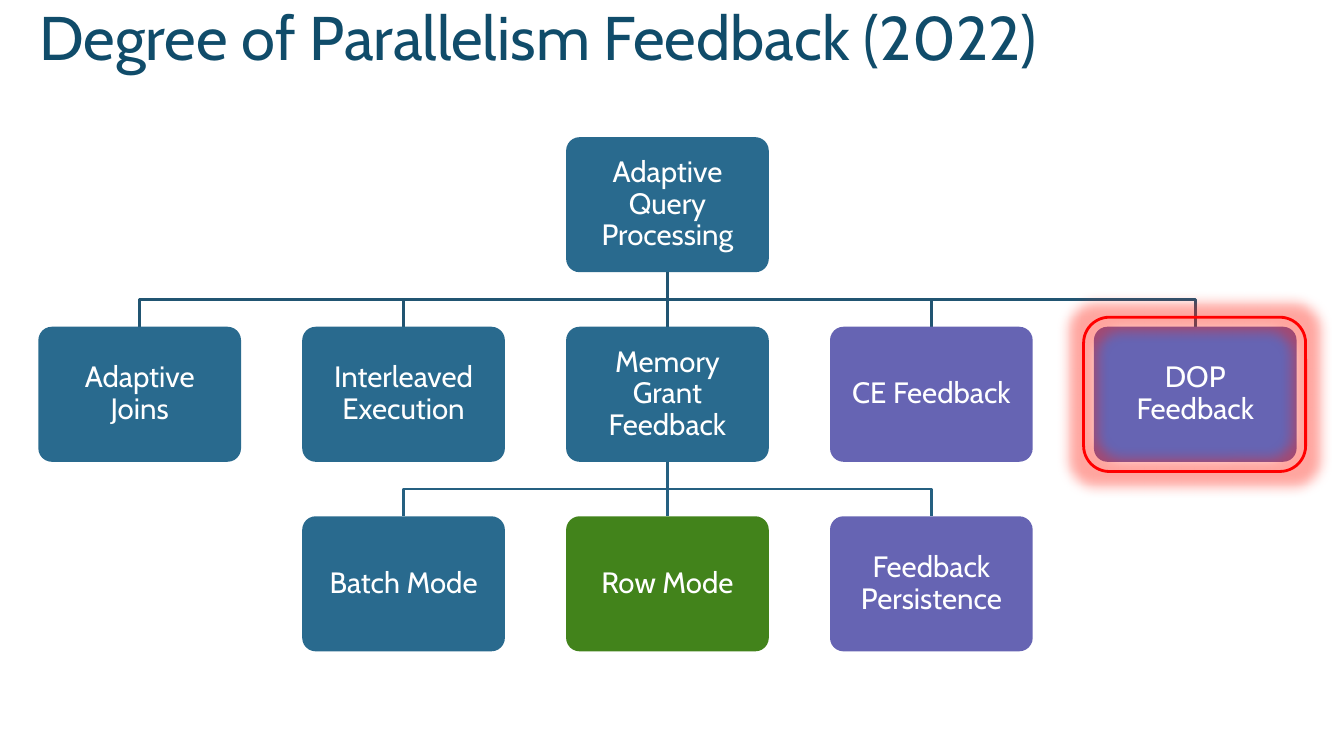
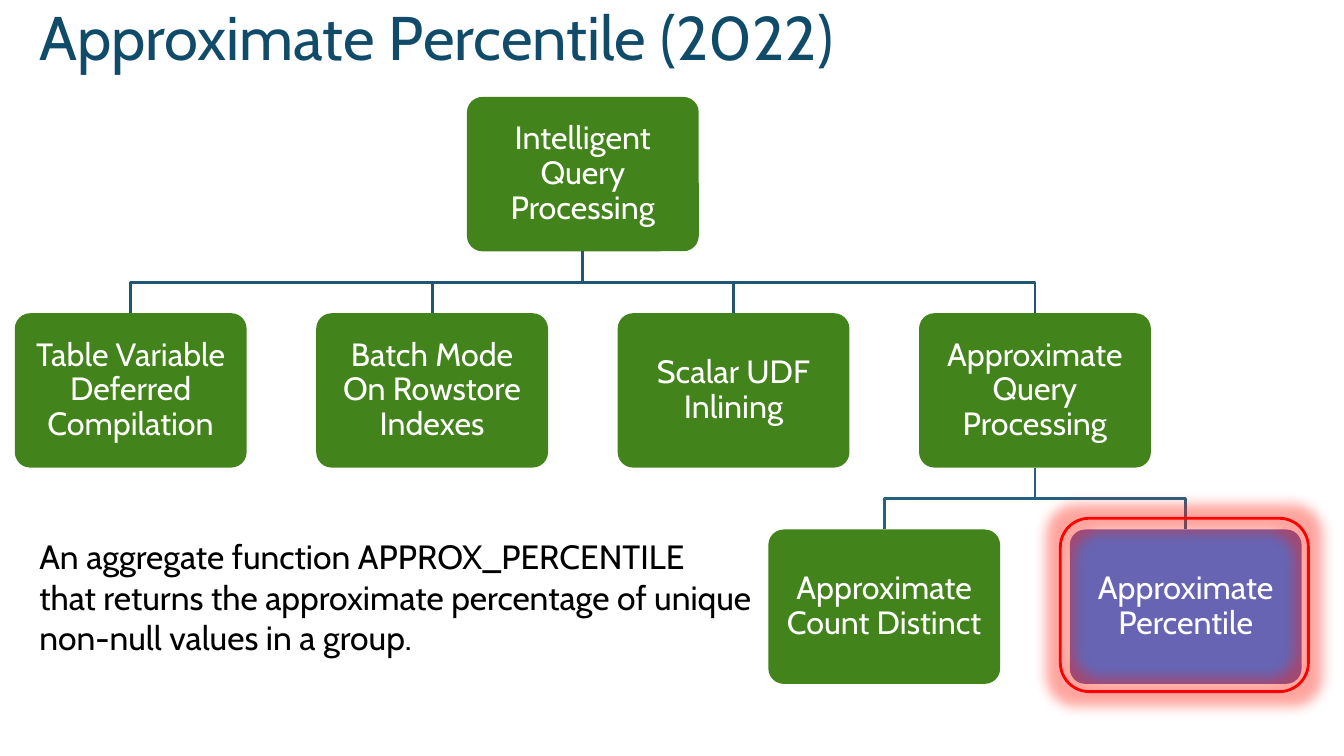
from dataclasses import dataclass

from lxml.etree import SubElement
from pptx import Presentation
from pptx.dml.color import RGBColor
from pptx.enum.shapes import MSO_CONNECTOR as CONN, MSO_SHAPE as SHAPE
from pptx.enum.text import MSO_ANCHOR as ANCHOR, PP_ALIGN as ALIGN
from pptx.oxml.ns import qn
from pptx.util import Pt

BLUE, GREEN, PURPLE = "296A8E", "42831B", "6664B3"
TITLE, WHITE, BLACK, RED, GLOW = "104C6A", "FFFFFF", "000000", "FF0000", "FF2010"
LINKS = {1: "215572", 2: "256081"}
FONT = "Cabin"
LINE_WIDTH = 2
GLOW_RADIUS = 18


@dataclass(frozen=True)
class Node:
    text: str
    col: float
    row: int
    color: str
    parent: int | None = None


@dataclass(frozen=True)
class Grid:
    left: float
    top: float
    width: float
    height: float
    col_step: float
    row_step: float
    inset: float
    size: float

    def corner(self, node: Node) -> tuple[float, float]:
        return self.left + node.col * self.col_step, self.top + node.row * self.row_step


@dataclass(frozen=True)
class Page:
    title: str
    grid: Grid
    nodes: tuple[Node, ...]
    ring: tuple[float, float, float, float]
    caption: tuple[str, ...] = ()


PAGES = (
    Page(
        "Degree of Parallelism Feedback (2022)",
        Grid(27.4, 98, 144.8, 96.5, 188.5, 135.4, 9, 21),
        (
            Node("Adaptive Query Processing", 2, 0, BLUE),
            Node("Adaptive Joins", 0, 1, BLUE, 0),
            Node("Interleaved Execution", 1, 1, BLUE, 0),
            Node("Memory Grant Feedback", 2, 1, BLUE, 0),
            Node("Batch Mode", 1, 2, BLUE, 3),
            Node("Row Mode", 2, 2, GREEN, 3),
            Node("Feedback Persistence", 3, 2, PURPLE, 3),
            Node("CE Feedback", 3, 1, PURPLE, 0),
            Node("DOP Feedback", 4, 1, PURPLE, 0),
        ),
        (774, 226.6, 158.6, 110.2),
    ),
    Page(
        "Approximate Percentile (2022)",
        Grid(10.6, 69.2, 165.6, 110.3, 215.3, 154.5, 10, 23),
        (
            Node("Intelligent Query Processing", 1.5, 0, GREEN),
            Node("Table Variable Deferred Compilation", 0, 1, GREEN, 0),
            Node("Batch Mode On Rowstore Indexes", 1, 1, GREEN, 0),
            Node("Scalar UDF Inlining", 2, 1, GREEN, 0),
            Node("Approximate Query Processing", 3, 1, GREEN, 0),
            Node("Approximate Count Distinct", 2.5, 2, GREEN, 4),
            Node("Approximate Percentile", 3.5, 2, PURPLE, 4),
        ),
        (757.4, 370.2, 177.2, 123.8),
        (
            "An aggregate function APPROX_PERCENTILE",
            "that returns the approximate percentage of unique non-null values in a group.",
        ),
    ),
)


def rgb(color: str) -> RGBColor:
    return RGBColor.from_string(color)


def apply(obj, values: dict) -> None:
    for name, value in values.items():
        setattr(obj, name, value)


def write(tf, lines: tuple[str, ...], size: float, color: str, frame: dict, para: dict) -> None:
    apply(tf, {"word_wrap": True, **frame})
    for i, line in enumerate(lines):
        p = tf.paragraphs[0] if i == 0 else tf.add_paragraph()
        apply(p, para)
        r = p.add_run()
        r.text = line
        apply(r.font, {"name": FONT, "size": Pt(size)})
        r.font.color.rgb = rgb(color)


def add_text(s, at: tuple, lines: tuple[str, ...], size: float, color: str, para: dict) -> None:
    sp = s.shapes.add_textbox(*map(Pt, at))
    write(sp.text_frame, lines, size, color, {}, para)


def set_line(sp, color: str) -> None:
    sp.line.color.rgb = rgb(color)
    sp.line.width = Pt(LINE_WIDTH)


def add_link(s, grid: Grid, parent: Node, child: Node) -> None:
    (px, py), (cx, y2) = grid.corner(parent), grid.corner(child)
    x1, x2, y1 = px + grid.width / 2, cx + grid.width / 2, py + grid.height
    if parent.col == child.col:
        sp = s.shapes.add_connector(CONN.STRAIGHT, *map(Pt, (x1, y1, x2, y2)))
        set_line(sp, LINKS[child.row])
        SubElement(sp._element.spPr, qn("a:effectLst"))
        return
    mid = (y1 + y2) / 2
    fb = s.shapes.build_freeform(Pt(x1), Pt(y1))
    fb.add_line_segments([(Pt(x), Pt(y)) for x, y in ((x1, mid), (x2, mid), (x2, y2))], close=False)
    sp = fb.convert_to_shape()
    sp.fill.background()
    set_line(sp, LINKS[child.row])
    sp.shadow.inherit = False


def add_node(s, grid: Grid, node: Node) -> None:
    at = (*grid.corner(node), grid.width, grid.height)
    sp = s.shapes.add_shape(SHAPE.ROUNDED_RECTANGLE, *map(Pt, at))
    sp.adjustments[0] = 0.1
    sp.fill.solid()
    sp.fill.fore_color.rgb = rgb(node.color)
    sp.line.fill.background()
    sp.shadow.inherit = False
    sides = ("left", "top", "right", "bottom")
    frame = {f"margin_{side}": Pt(grid.inset) for side in sides}
    frame["vertical_anchor"] = ANCHOR.MIDDLE
    para = {"alignment": ALIGN.CENTER, "line_spacing": 0.9}
    write(sp.text_frame, (node.text,), grid.size, WHITE, frame, para)


def add_ring(s, at: tuple[float, float, float, float]) -> None:
    sp = s.shapes.add_shape(SHAPE.ROUNDED_RECTANGLE, *map(Pt, at))
    sp.fill.background()
    set_line(sp, RED)
    sp.shadow.inherit = False
    effects = sp._element.spPr.find(qn("a:effectLst"))
    glow = SubElement(effects, qn("a:glow"), rad=str(Pt(GLOW_RADIUS)))
    tint = SubElement(glow, qn("a:srgbClr"), val=GLOW)
    SubElement(tint, qn("a:alpha"), val="40000")


def add_page(prs, page: Page) -> None:
    s = prs.slides.add_slide(prs.slide_layouts[6])
    add_text(s, (21, 13.7, 864, 90), (page.title,), 44, TITLE, {"line_spacing": Pt(35)})
    for node in page.nodes:
        if node.parent is not None:
            add_link(s, page.grid, page.nodes[node.parent], node)
        add_node(s, page.grid, node)
    add_ring(s, page.ring)
    if page.caption:
        add_text(s, (21, 379.5, 540, 94.3), page.caption, 24, BLACK, {})


def main() -> None:
    """Build the query processing slides and save them."""
    prs = Presentation()
    apply(prs, {"slide_width": Pt(960), "slide_height": Pt(540)})
    for page in PAGES:
        add_page(prs, page)
    prs.save("out.pptx")


if __name__ == "__main__":
    main()
